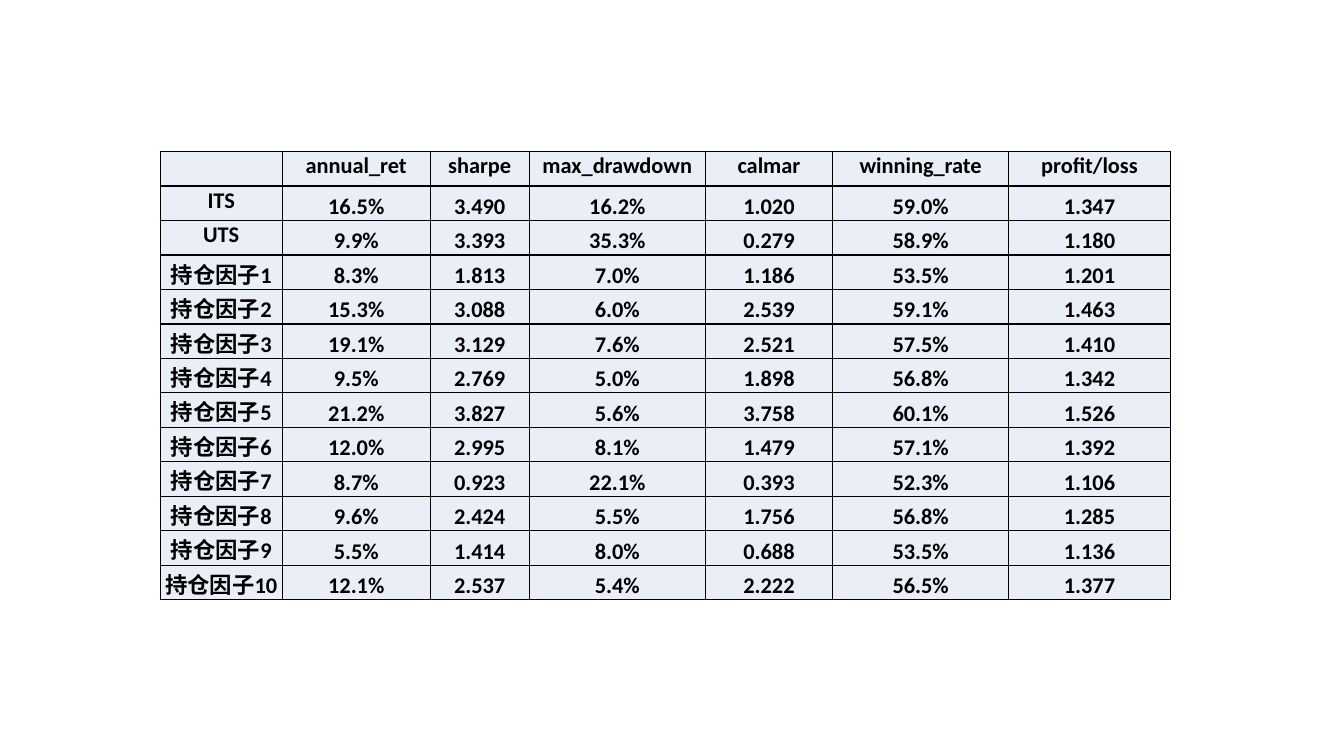
"""Build a slide with a table of performance figures for trading factors."""
from lxml import etree
from pptx import Presentation
from pptx import util as u
from pptx.dml.color import RGBColor
from pptx.enum import text
from pptx.oxml import ns

HEADINGS = ("", "annual_ret", "sharpe", "max_drawdown", "calmar", "winning_rate", "profit/loss")
FACTORS = [
    ("ITS", "16.5%", "3.490", "16.2%", "1.020", "59.0%", "1.347"),
    ("UTS", "9.9%", "3.393", "35.3%", "0.279", "58.9%", "1.180"),
    ("持仓因子1", "8.3%", "1.813", "7.0%", "1.186", "53.5%", "1.201"),
    ("持仓因子2", "15.3%", "3.088", "6.0%", "2.539", "59.1%", "1.463"),
    ("持仓因子3", "19.1%", "3.129", "7.6%", "2.521", "57.5%", "1.410"),
    ("持仓因子4", "9.5%", "2.769", "5.0%", "1.898", "56.8%", "1.342"),
    ("持仓因子5", "21.2%", "3.827", "5.6%", "3.758", "60.1%", "1.526"),
    ("持仓因子6", "12.0%", "2.995", "8.1%", "1.479", "57.1%", "1.392"),
    ("持仓因子7", "8.7%", "0.923", "22.1%", "0.393", "52.3%", "1.106"),
    ("持仓因子8", "9.6%", "2.424", "5.5%", "1.756", "56.8%", "1.285"),
    ("持仓因子9", "5.5%", "1.414", "8.0%", "0.688", "53.5%", "1.136"),
    ("持仓因子10", "12.1%", "2.537", "5.4%", "2.222", "56.5%", "1.377"),
]
TOP_ALIGNED_LABELS = ("ITS", "UTS")
COLORS = {"text": "000000", "border": "000000", "cell": "EAEFF7"}
LEFT, TOP = 114.5, 108.2
COLUMN_WIDTHS = (87.1, 105.8, 70.6, 126, 90.7, 126, 115.2)
ROW_HEIGHT = 24.65
FONT = {"name": "Calibri", "size": u.Pt(16), "bold": True}
MARGINS = {"margin_left": u.Pt(0.7), "margin_top": u.Pt(0.7),
           "margin_right": u.Pt(0.7), "margin_bottom": u.Pt(0)}


def apply_format(target, values):
    for name, value in values.items():
        setattr(target, name, value)


def add_borders(cell):
    properties = cell._tc.get_or_add_tcPr()
    for side in ("lnL", "lnR", "lnT", "lnB"):
        line = etree.SubElement(properties, ns.qn(f"a:{side}"), w=str(u.Pt(1)))
        fill = etree.SubElement(line, ns.qn("a:solidFill"))
        etree.SubElement(fill, ns.qn("a:srgbClr"), val=COLORS["border"])


def fill_cell(cell, content, anchor):
    add_borders(cell)
    apply_format(cell, {**MARGINS, "vertical_anchor": anchor})
    cell.fill.solid()
    cell.fill.fore_color.rgb = RGBColor.from_string(COLORS["cell"])
    if content:
        paragraph = cell.text_frame.paragraphs[0]
        paragraph.alignment = text.PP_ALIGN.CENTER
        run = paragraph.add_run()
        run.text = content
        apply_format(run.font, FONT)
        run.font.color.rgb = RGBColor.from_string(COLORS["text"])


def main():
    presentation = Presentation()
    apply_format(presentation, {"slide_width": u.Pt(960), "slide_height": u.Pt(540)})
    slide = presentation.slides.add_slide(presentation.slide_layouts[6])
    rows = [HEADINGS, *FACTORS]
    table = slide.shapes.add_table(
        len(rows), len(HEADINGS), u.Pt(LEFT), u.Pt(TOP),
        u.Pt(sum(COLUMN_WIDTHS)), u.Pt(ROW_HEIGHT * len(rows))).table
    apply_format(table, {"first_row": False, "horz_banding": False})
    for column, width in zip(table.columns, COLUMN_WIDTHS):
        column.width = u.Pt(width)
    for row, contents in zip(table.rows, rows):
        row.height = u.Pt(ROW_HEIGHT)
        for cell, content in zip(row.cells, contents):
            at_top = contents is HEADINGS or content in TOP_ALIGNED_LABELS
            anchor = text.MSO_ANCHOR.TOP if at_top else text.MSO_ANCHOR.BOTTOM
            fill_cell(cell, content, anchor)
    presentation.save("out.pptx")


if __name__ == "__main__":
    main()
